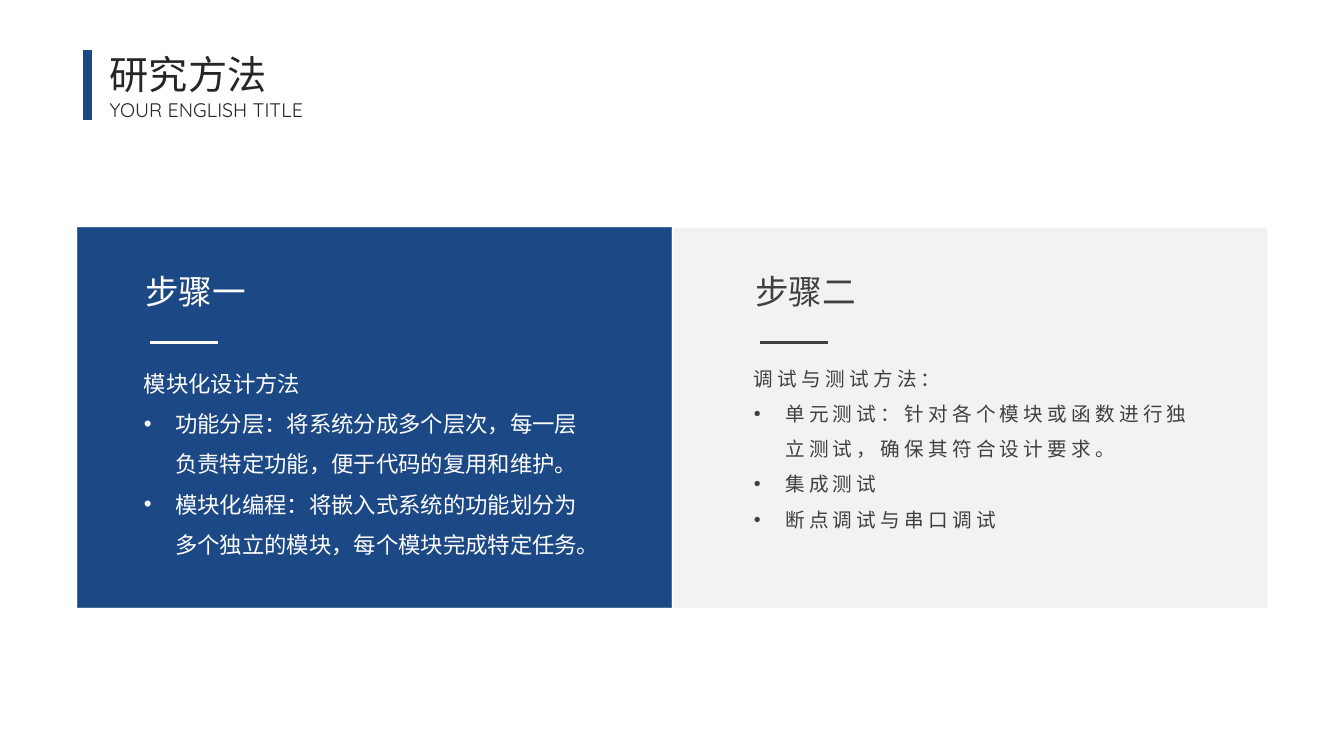
from pptx import Presentation
from pptx.dml.color import RGBColor
from pptx.enum.shapes import MSO_CONNECTOR, MSO_SHAPE
from pptx.enum.text import PP_ALIGN
from pptx.oxml.ns import qn
from pptx.util import Inches, Pt
from lxml import etree

STRAIGHT, RECTANGLE = MSO_CONNECTOR.STRAIGHT, MSO_SHAPE.RECTANGLE
JUSTIFY = PP_ALIGN.JUSTIFY
CHINESE, LATIN = "Noto Sans CJK SC", "Quicksand"
COLORS = {name: RGBColor.from_string(code) for name, code in {
    "blue": "1C4885", "edge": "43739E", "grey": "F2F2F2",
    "white": "FFFFFF", "dark": "404040", "title": "262626"}.items()}

deck = Presentation()
deck.slide_width, deck.slide_height = Inches(13.33), Inches(7.5)
page = deck.slides.add_slide(deck.slide_layouts[6])


def add_text(area, lines, size, color, font=CHINESE, spacing=1.0, tracking=0):
    """Add a text box; every line after the first is a bullet."""
    box = page.shapes.add_textbox(*map(Inches, area))
    frame = box.text_frame
    frame.word_wrap = True
    frame.text = "\n".join(lines)
    for index, para in enumerate(frame.paragraphs):
        if index:
            props = para._p.get_or_add_pPr()
            props.set("marL", str(Inches(0.31)))
            props.set("indent", str(-Inches(0.31)))
            etree.SubElement(props, qn("a:buFont")).set("typeface", "Arial")
            etree.SubElement(props, qn("a:buChar")).set("char", "•")
            para.line_spacing = 1.5
        else:
            para.line_spacing = spacing
        span = para.runs[0]
        span.font.size = Pt(size)
        span.font.name = font
        span.font.color.rgb = COLORS[color]
        run_props = span.font._element
        etree.SubElement(run_props, qn("a:ea")).set("typeface", font)
        if tracking:
            run_props.set("spc", str(tracking * 100))
    return frame


def add_line(start, end, color, width):
    line = page.shapes.add_connector(STRAIGHT, *map(Inches, start + end))
    line.line.color.rgb = COLORS[color]
    line.line.width = Pt(width)
    etree.SubElement(line._element.spPr, qn("a:effectLst"))


# Heading with its vertical bar
add_text((0.99, 0.45, 2.78, 0.57), ["研究方法"], 28, "title")
subtitle = add_text((0.99, 0.92, 2.46, 0.34), ["YOUR ENGLISH TITLE"], 14, "title", LATIN)
subtitle.paragraphs[0].alignment = JUSTIFY
add_line((0.87, 0.5), (0.87, 1.19), "blue", 6)

# Two step panels: panel left, text left, fill, edge, ink, heading, body settings
steps = [
    (6.68, 7.39, "grey", None, "dark", "步骤二", 3.47, 14, 1.5, 3,
     ["调试与测试方法：",
      "单元测试：针对各个模块或函数进行独立测试，确保其符合设计要求。",
      "集成测试",
      "断点调试与串口调试"]),
    (0.77, 1.34, "blue", "edge", "white", "步骤一", 3.62, 16, 1.0, 0,
     ["模块化设计方法",
      "功能分层：将系统分成多个层次，每一层负责特定功能，便于代码的复用和维护。",
      "模块化编程：将嵌入式系统的功能划分为多个独立的模块，每个模块完成特定任务。"]),
]
for left, text_left, fill, edge, ink, heading, top, size, spacing, tracking, lines in steps:
    panel = page.shapes.add_shape(RECTANGLE, *map(Inches, (left, 2.26, 5.89, 3.77)))
    panel.shadow.inherit = False
    panel.fill.solid()
    panel.fill.fore_color.rgb = COLORS[fill]
    if edge:
        panel.line.color.rgb = COLORS[edge]
        panel.line.width = Pt(1)
    else:
        panel.line.fill.background()
    add_text((text_left, 2.64, 3.13, 0.5), [heading], 24, ink)
    add_line((text_left + 0.15, 3.4), (text_left + 0.82, 3.4), ink, 2)
    add_text((text_left - 0.01, top, 4.64, 6.14 - top), lines, size, ink,
             spacing=spacing, tracking=tracking)

deck.save("out.pptx")
